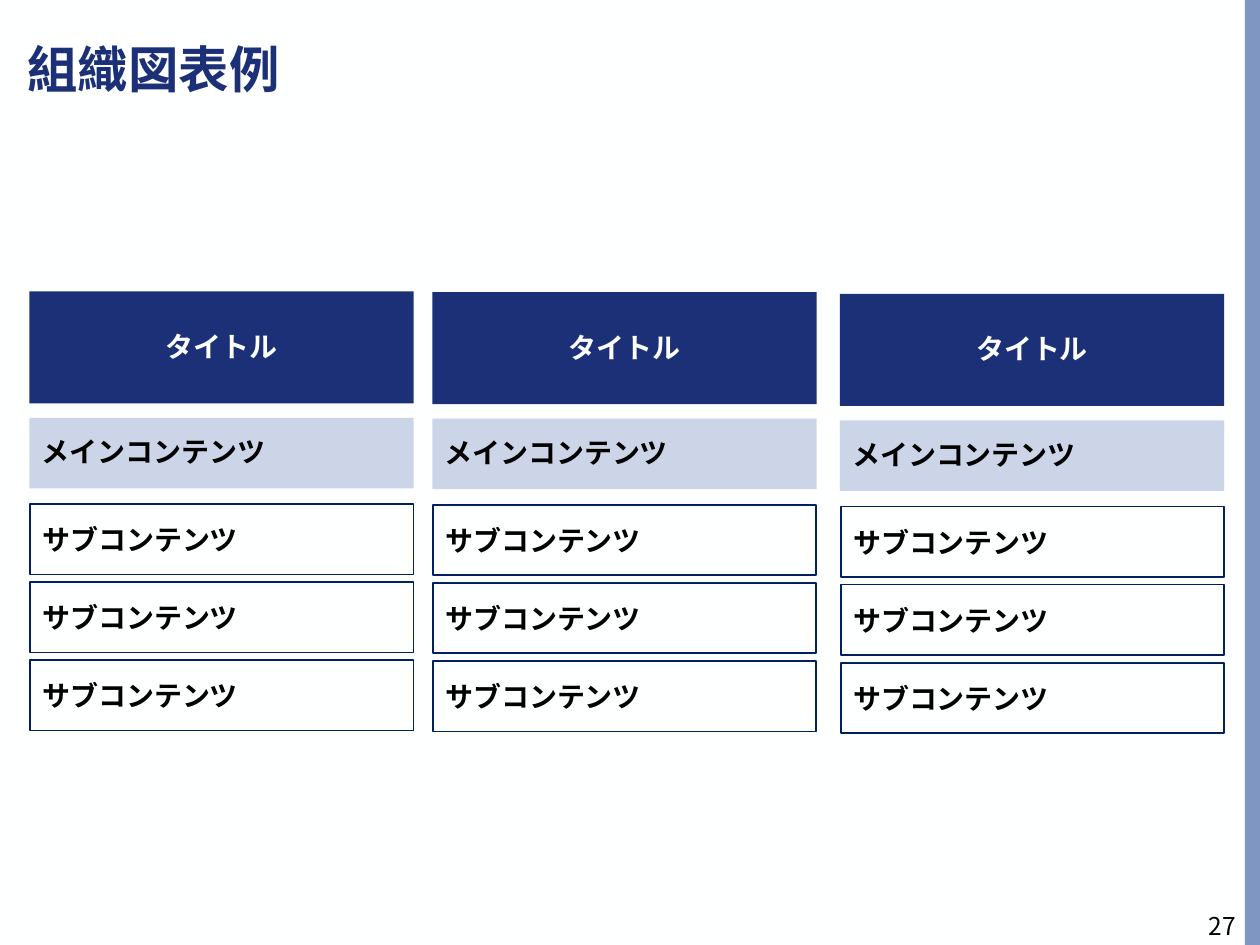
"""Build a slide with a three-column organisation chart."""
from lxml import etree
from pptx import Presentation
from pptx.dml.color import RGBColor
from pptx.enum.shapes import MSO_SHAPE
from pptx.enum.text import MSO_ANCHOR, PP_ALIGN
from pptx.oxml.ns import qn
from pptx.util import Pt

RECTANGLE = MSO_SHAPE.RECTANGLE
MIDDLE = MSO_ANCHOR.MIDDLE
LEFT, CENTER, RIGHT = PP_ALIGN.LEFT, PP_ALIGN.CENTER, PP_ALIGN.RIGHT
NAVY = RGBColor(0x1C, 0x30, 0x77)
OUTLINE = RGBColor(0x00, 0x20, 0x60)
PALE_BLUE = RGBColor(0xCC, 0xD5, 0xE7)
STRIPE_BLUE = RGBColor(0x7F, 0x96, 0xC2)
PAPER = RGBColor(0xFE, 0xFF, 0xFF)
BLACK = RGBColor(0x00, 0x00, 0x00)
JAPANESE_FONT = "Noto Sans CJK JP"


def write_text(box, text, size, color, font_name, align=LEFT, bold=True, spacing=None):
    frame = box.text_frame
    frame.text = text
    frame.word_wrap = True
    frame.vertical_anchor = MIDDLE
    para = frame.paragraphs[0]
    para.alignment = align
    para.line_spacing = spacing
    span = para.runs[0]
    span.font.size = Pt(size)
    span.font.bold = bold
    span.font.color.rgb = color
    span.font.name = font_name
    etree.SubElement(span.font._element, qn("a:ea"), typeface=JAPANESE_FONT)


def add_box(left, top, width, height, fill, line=None):
    box = page.shapes.add_shape(RECTANGLE, Pt(left), Pt(top), Pt(width), Pt(height))
    box.shadow.inherit = False
    box.fill.solid()
    box.fill.fore_color.rgb = fill
    if line is None:
        box.line.fill.background()
    else:
        box.line.color.rgb = line
        box.line.width = Pt(1)
    return box


deck = Presentation()
deck.slide_width, deck.slide_height = Pt(720), Pt(540)
page = deck.slides.add_slide(deck.slide_layouts[6])
page.background.fill.solid()
page.background.fill.fore_color.rgb = PAPER

add_box(711.4, 0, 8.6, 540, STRIPE_BLUE)

heading = page.shapes.add_textbox(Pt(8.6), Pt(20.9), Pt(531.4), Pt(41))
write_text(heading, "組織図表例", 28.8, NAVY, JAPANESE_FONT, spacing=0.9)

for left, shift in ((16.8, 0), (247, 0.5), (480, 1.5)):
    title_box = add_box(left, 166.5 + shift, 219.6, 64, NAVY)
    write_text(title_box, "タイトル", 16, PAPER, "Arial", CENTER, spacing=Pt(17.6))

    main_box = add_box(left, 238.8 + shift, 219.6, 40.3, PALE_BLUE)
    write_text(main_box, "メインコンテンツ", 16, BLACK, "Arial", spacing=Pt(17.6))

    for row in range(3):
        sub_box = add_box(left + 0.5, 288 + shift + 44.6 * row, 219, 40.3, PAPER, OUTLINE)
        write_text(sub_box, "サブコンテンツ", 16, BLACK, "Arial")

page_number = page.shapes.add_textbox(Pt(678.2), Pt(514.8), Pt(35.3), Pt(28.8))
write_text(page_number, "27", 14, BLACK, JAPANESE_FONT, RIGHT, bold=False)

deck.save("out.pptx")
